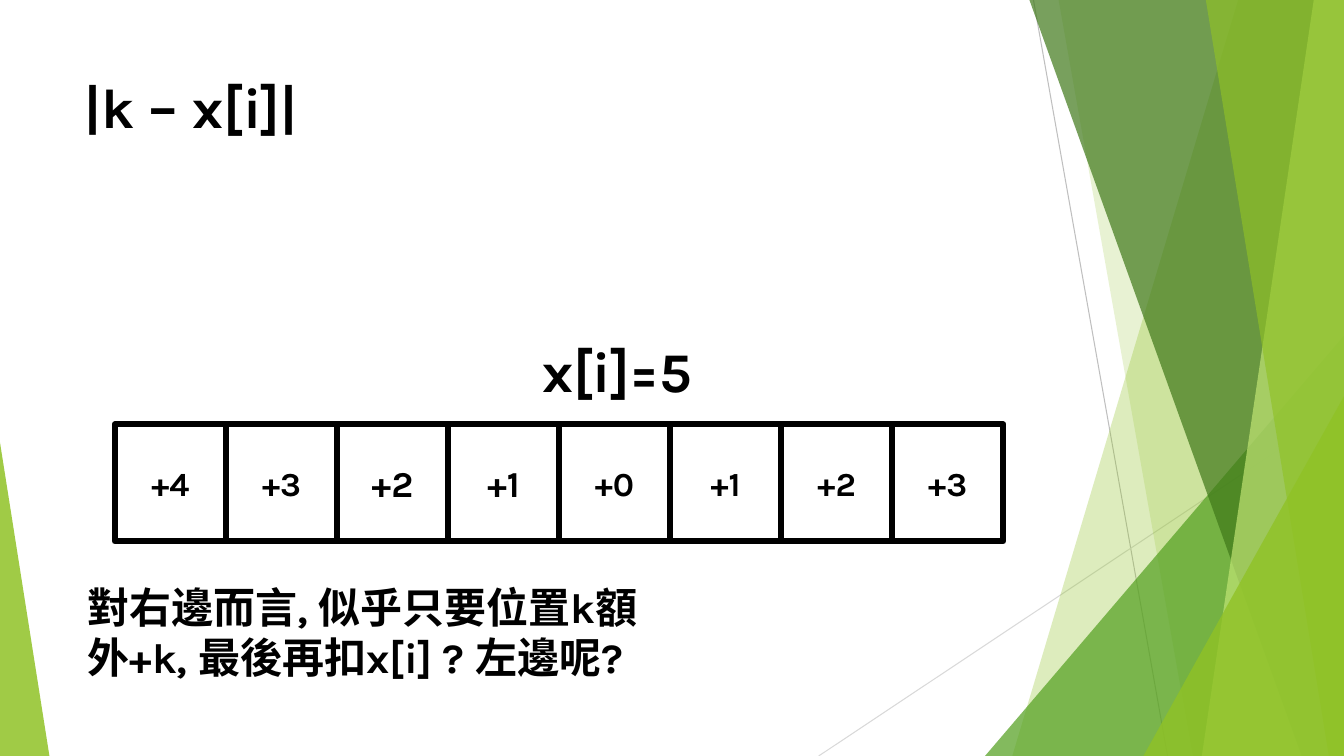
import pptx
import pptx.util
import pptx.dml.color
import pptx.enum.shapes
import pptx.enum.text
import pptx.oxml.ns
import lxml.etree

Inches = pptx.util.Inches
ALIGN = pptx.enum.text.PP_ALIGN
ANCHOR = pptx.enum.text.MSO_ANCHOR
SHAPE = pptx.enum.shapes.MSO_SHAPE
COLORS = {
    "ink": "000000", "green": "90C226", "leaf": "54A021", "forest": "3F7819",
    "lime": "C0E474", "gray": "BFBFBF", "pale_gray": "D9D9D9",
}
W, H = 13.33, 7.5


def rgb(name):
    """Return the named colour."""
    return pptx.dml.color.RGBColor.from_string(COLORS[name])


def write(tf, text, size=40, align=ALIGN.LEFT, anchor=ANCHOR.TOP):
    """Put bold text in a frame."""
    tf.word_wrap = True
    tf.auto_size = pptx.enum.text.MSO_AUTO_SIZE.NONE
    tf.vertical_anchor = anchor
    p = tf.paragraphs[0]
    p.alignment = align
    r = p.add_run()
    r.text = text
    r.font.name = "Karla"
    r.font.size = pptx.util.Pt(size)
    r.font.bold = True
    r.font.color.rgb = rgb("ink")


def tint(sp, color, alpha):
    """Fill a shape with a translucent colour and no line."""
    sp.shadow.inherit = False
    sp.fill.solid()
    sp.fill.fore_color.rgb = rgb(color)
    sp.line.fill.background()
    clr = sp.fill._xPr.find(".//" + pptx.oxml.ns.qn("a:srgbClr"))
    lxml.etree.SubElement(clr, pptx.oxml.ns.qn("a:alpha"), val=str(alpha * 1000))


def add_line(s, x1, y1, x2, y2, color):
    """Draw a thin straight line."""
    ln = s.shapes.add_connector(pptx.enum.shapes.MSO_CONNECTOR.STRAIGHT,
                                *map(Inches, (x1, y1, x2, y2)))
    ln.line.color.rgb = rgb(color)
    ln.line.width = pptx.util.Pt(0.75)
    lxml.etree.SubElement(ln._element.spPr, pptx.oxml.ns.qn("a:effectLst"))


def add_band(s, top_x, bottom_x, color, alpha):
    """Draw a full-height band reaching the right edge."""
    points = [(W, 0), (W, H), (bottom_x, H)]
    fb = s.shapes.build_freeform(Inches(top_x), 0)
    fb.add_line_segments([(Inches(x), Inches(y)) for x, y in points])
    tint(fb.convert_to_shape(), color, alpha)


def add_corner(s, x, y, w, apex, color, alpha):
    """Draw a right triangle standing on the bottom edge."""
    sp = s.shapes.add_shape(SHAPE.ISOSCELES_TRIANGLE,
                            *map(Inches, (x, y, w, H - y)))
    sp.adjustments[0] = apex
    tint(sp, color, alpha)


def add_facets(s):
    """Draw the green facets at the slide edges."""
    add_line(s, 10.25, 0, 11.58, H, "gray")
    add_line(s, W, 4.03, 8.12, H, "pale_gray")
    add_band(s, 12.28, 10.04, "green", 30)
    add_band(s, 10.5, 11.83, "green", 20)
    add_corner(s, 9.77, 3.33, 3.56, 1, "leaf", 72)
    add_band(s, 10.21, 12.91, "forest", 70)
    add_band(s, 13.03, 11.92, "lime", 70)
    add_band(s, 11.96, 13.18, "green", 65)
    add_corner(s, 11.34, 3.93, 1.99, 1, "green", 80)
    add_corner(s, 0, 4.39, 0.49, 0, "green", 85)


def add_cells(s, x, y, w, h, cells):
    """Draw a row of equal boxes across the given box."""
    step = w / len(cells)
    for i, (text, size) in enumerate(cells):
        sp = s.shapes.add_shape(SHAPE.RECTANGLE,
                                *map(Inches, (x + i * step, y, step, h)))
        sp.shadow.inherit = False
        sp.fill.background()
        sp.line.color.rgb = rgb("ink")
        sp.line.width = pptx.util.Pt(4.5)
        write(sp.text_frame, text, size=size, align=ALIGN.CENTER,
              anchor=ANCHOR.MIDDLE)


def add_label(s, x, y, w, h, text, size=40):
    """Add a text box."""
    tb = s.shapes.add_textbox(*map(Inches, (x, y, w, h)))
    write(tb.text_frame, text, size=size)


def set_title(s, x, y, w, h, text):
    """Place and fill the title."""
    sp = s.shapes.title
    sp.left, sp.top, sp.width, sp.height = map(Inches, (x, y, w, h))
    write(sp.text_frame, text)


def main():
    """Build the slide and save it."""
    prs = pptx.Presentation()
    prs.slide_width, prs.slide_height = Inches(W), Inches(H)
    s = prs.slides.add_slide(prs.slide_layouts[5])
    add_facets(s)
    add_cells(s, 1.14, 4.21, 8.81, 1.16, [
        ("+4", 24), ("+3", 24), ("+2", 26), ("+1", 26),
        ("+0", 24), ("+1", 24), ("+2", 24), ("+3", 24)])
    add_label(s, 5.28, 3.29, 2.74, 0.77, "x[i]=5")
    set_title(s, 0.74, 0.67, 9.4, 1.44, "|k – x[i]|")
    add_label(s, 0.77, 5.72, 5.9, 1.11,
              "對右邊而言, 似乎只要位置k額外+k, 最後再扣x[i] ? 左邊呢?", size=30)
    prs.save("out.pptx")


if __name__ == "__main__":
    main()
